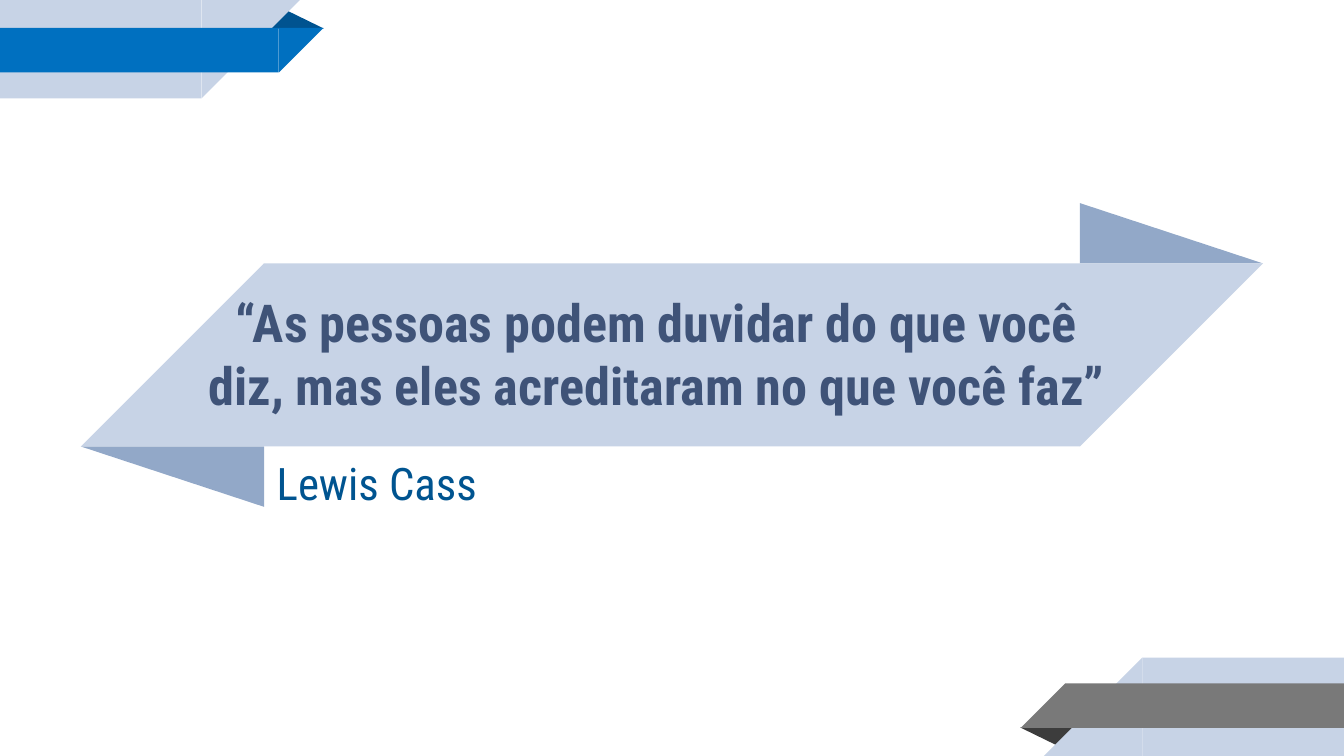
from dataclasses import dataclass

from pptx import Presentation
from pptx.dml.color import RGBColor
from pptx.enum.shapes import MSO_SHAPE as Preset
from pptx.enum.text import MSO_ANCHOR as Anchor
from pptx.enum.text import MSO_AUTO_SIZE as AutoSize
from pptx.enum.text import PP_ALIGN as Align
from pptx.util import Cm, Pt

SLIDE_WIDTH, SLIDE_HEIGHT = 25.4, 14.29


@dataclass(frozen=True)
class Theme:
    font: str = "Roboto Condensed"
    quote_size: int = 28
    author_size: int = 24
    pale: str = "C7D3E6"
    fold: str = "92A8C8"
    blue: str = "0070C0"
    dark_blue: str = "005390"
    gray: str = "797979"
    dark_gray: str = "3C3C3C"
    quote: str = "3F5378"
    author: str = "005490"


class SlideBuilder:
    def __init__(self, slide, theme):
        self.slide = slide
        self.theme = theme

    def shape(self, preset, box, color, rotation=0):
        shape = self.slide.shapes.add_shape(preset, *map(Cm, box))
        shape.rotation = rotation
        shape.shadow.inherit = False
        shape.fill.solid()
        shape.fill.fore_color.rgb = RGBColor.from_string(color)
        shape.line.fill.background()
        return shape

    def fold(self, box, color, apex, rotation=0):
        """Draw a triangle whose apex lies at a fraction of its width."""
        triangle = self.shape(Preset.ISOSCELES_TRIANGLE, box, color, rotation)
        triangle.adjustments[0] = apex

    def corner_ribbon(self, front, shade, turned=False):
        """Draw the top left ribbon, or turn it half round to the bottom right."""
        half_turn = 180 if turned else 0

        def place(left, top, width, height):
            if turned:
                left = SLIDE_WIDTH - left - width
                top = SLIDE_HEIGHT - top - height
            return left, top, width, height

        self.fold(place(5.03, 0.18, 1.09, 0.36), shade, 0.324, half_turn)
        bands = ((0, 3.81, 1.86, self.theme.pale), (0.53, 5.27, 0.84, front))
        for top, width, height, color in bands:
            self.shape(Preset.RECTANGLE, place(0, top, width, height), color)
            tip = place(width, top, height, height)
            self.shape(Preset.RIGHT_TRIANGLE, tip, color, 90 + half_turn)

    def quote_banner(self, left, top, width, height, fold_height):
        pale, fold = self.theme.pale, self.theme.fold
        right = left + width - height
        bottom = top + height
        self.fold((right, top - fold_height, height, fold_height), fold, 0)
        body = (left + height, top, width - 2 * height, height)
        self.shape(Preset.RECTANGLE, body, pale)
        for tip_left, rotation in ((right, 90), (left, 270)):
            tip = (tip_left, top, height, height)
            self.shape(Preset.RIGHT_TRIANGLE, tip, pale, rotation)
        self.fold((left, bottom, height, fold_height), fold, 0, 180)

    def placeholder(self, index, box, text, size, color, align,
                    bold=False, before=0, after=0):
        """Fill a placeholder and bring it in front of the ribbons."""
        placeholder = self.slide.placeholders[index]
        placeholder.left, placeholder.top, placeholder.width, placeholder.height = map(Cm, box)
        frame = placeholder.text_frame
        frame.word_wrap = True
        frame.auto_size = AutoSize.NONE
        frame.vertical_anchor = Anchor.MIDDLE
        frame.margin_left = frame.margin_right = Cm(0.25)
        frame.margin_top = frame.margin_bottom = Cm(0.25)
        paragraph = frame.paragraphs[0]
        paragraph.alignment = align
        paragraph.line_spacing = 1.0
        paragraph.space_before = Pt(before)
        paragraph.space_after = Pt(after)
        run = paragraph.add_run()
        run.text = text
        run.font.name = self.theme.font
        run.font.size = Pt(size)
        run.font.bold = bold
        run.font.color.rgb = RGBColor.from_string(color)
        element = placeholder.element
        element.getparent().append(element)


def main():
    presentation = Presentation()
    presentation.slide_width = Cm(SLIDE_WIDTH)
    presentation.slide_height = Cm(SLIDE_HEIGHT)
    slide = presentation.slides.add_slide(presentation.slide_layouts[0])
    theme = Theme()
    builder = SlideBuilder(slide, theme)

    builder.corner_ribbon(theme.blue, theme.dark_blue)
    builder.corner_ribbon(theme.gray, theme.dark_gray, turned=True)
    builder.quote_banner(left=1.53, top=4.98, width=22.34, height=3.46, fold_height=1.14)
    builder.placeholder(
        0, (3.66, 4.98, 17.48, 3.4),
        "“As pessoas podem duvidar do que você diz, mas eles acreditaram no que você faz”",
        theme.quote_size, theme.quote, Align.CENTER, bold=True)
    builder.placeholder(
        1, (4.98, 8.44, 16.15, 1.37), "Lewis Cass",
        theme.author_size, theme.author, Align.LEFT, before=6, after=10)

    presentation.save("out.pptx")


if __name__ == "__main__":
    main()
